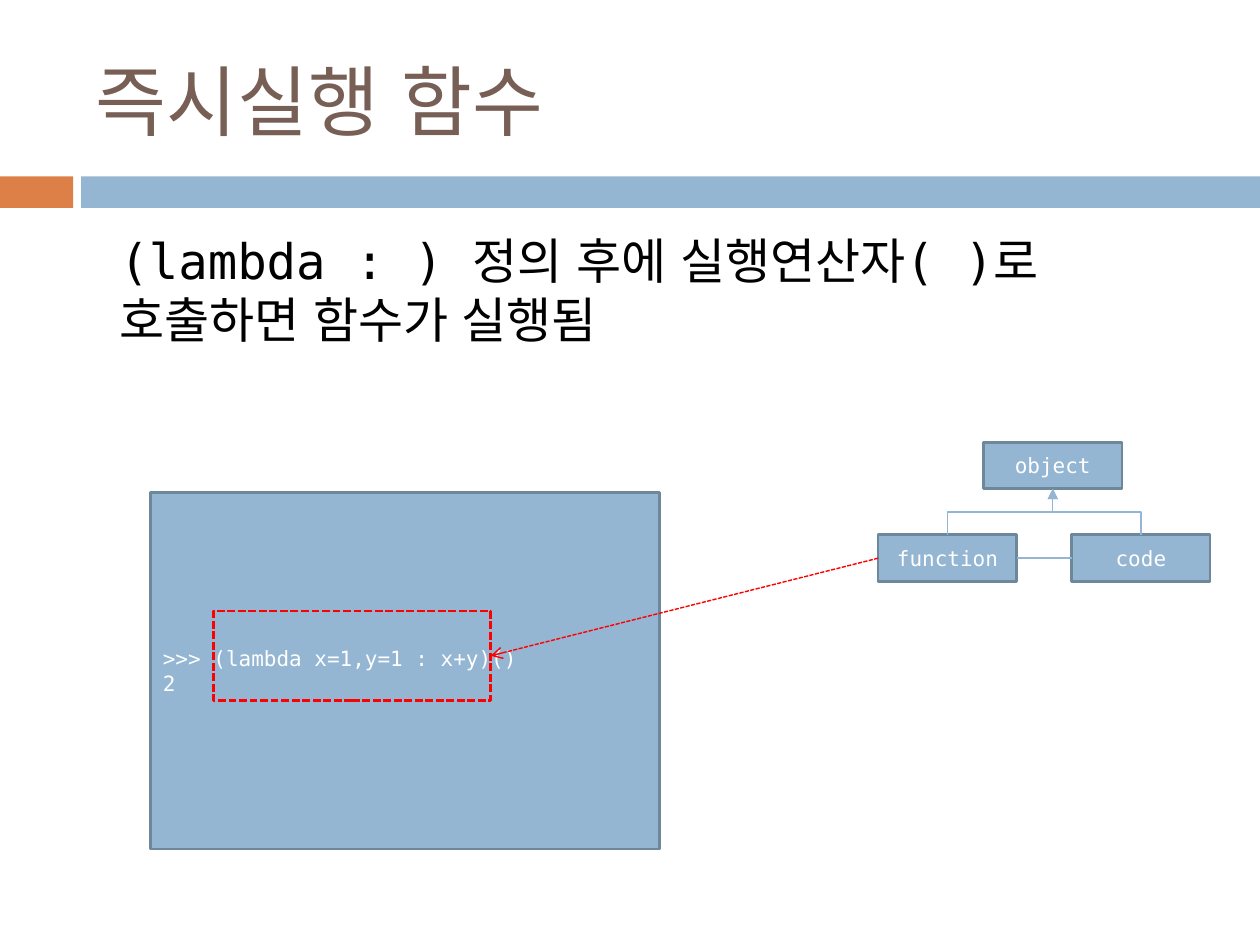
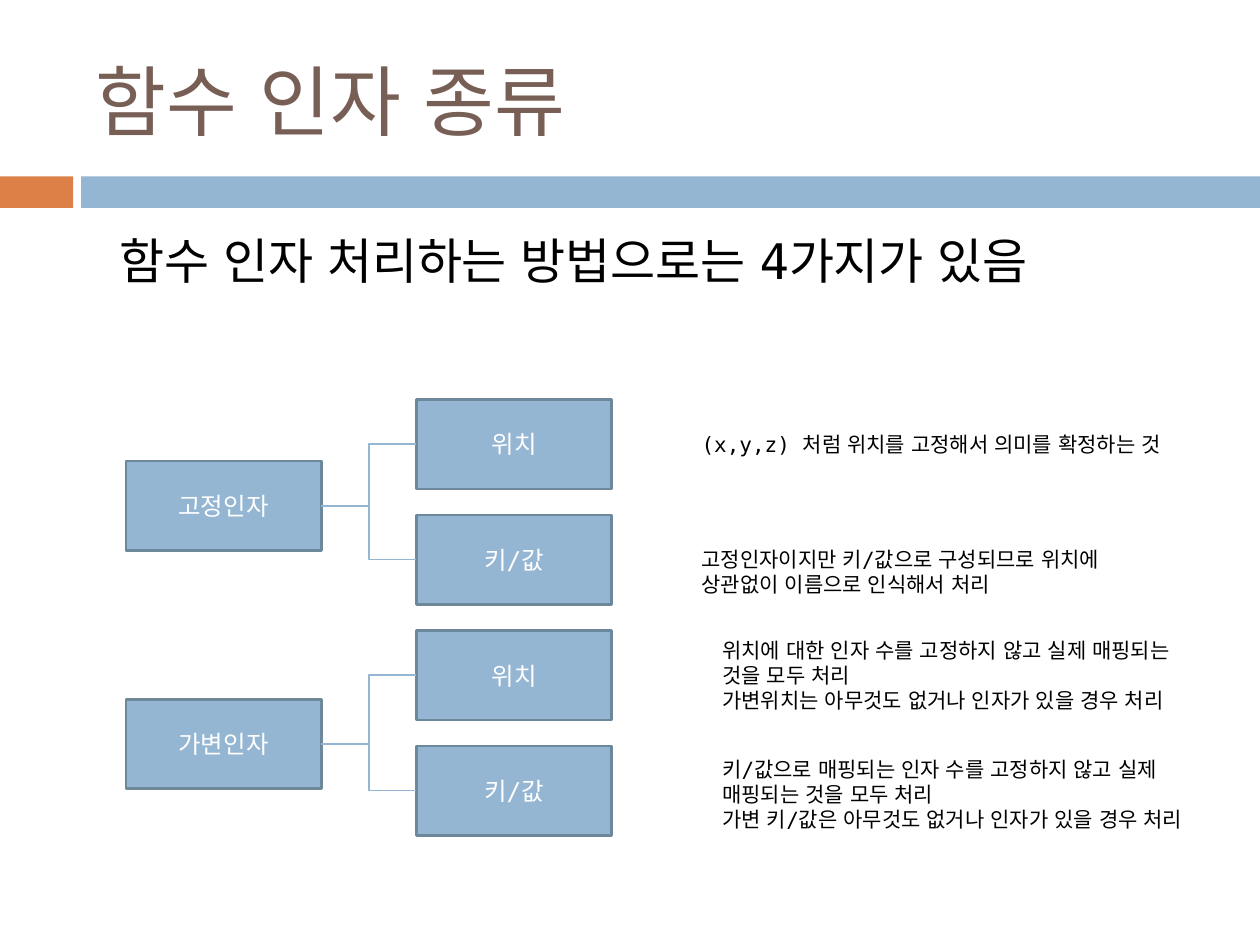
from dataclasses import dataclass

from lxml import etree
from pptx import Presentation
from pptx.dml.color import RGBColor
from pptx.enum.dml import MSO_LINE
from pptx.enum.shapes import MSO_CONNECTOR, MSO_SHAPE
from pptx.enum.text import MSO_ANCHOR, MSO_AUTO_SIZE, PP_ALIGN
from pptx.oxml.ns import qn
from pptx.util import Inches, Pt

RECTANGLE = MSO_SHAPE.RECTANGLE
STRAIGHT, ELBOW = MSO_CONNECTOR.STRAIGHT, MSO_CONNECTOR.ELBOW
DASHED = MSO_LINE.SQUARE_DOT
LEFT, CENTER = PP_ALIGN.LEFT, PP_ALIGN.CENTER
TOP, MIDDLE = MSO_ANCHOR.TOP, MSO_ANCHOR.MIDDLE
NO_AUTOFIT = MSO_AUTO_SIZE.NONE

# Connection sites of a rectangle
TOP_SIDE, LEFT_SIDE, BOTTOM_SIDE, RIGHT_SIDE = range(4)

# Grid laid over the whole slide
COLUMNS, ROWS = 100, 75
TITLE_ONLY = 5


@dataclass(frozen=True)
class Theme:
    font: str = "DejaVu Sans Mono"
    korean_font: str = "DejaVu Sans Condensed"
    heading: str = "775F55"
    ink: str = "000000"
    paper: str = "FFFFFF"
    blue: str = "94B6D2"
    blue_edge: str = "6D879B"
    orange: str = "DD8047"
    red: str = "FF0000"
    title_size: int = 44
    lead_size: int = 28
    label_size: int = 14
    small_size: int = 12
    border: float = 1.5
    thin: float = 0.79


def write(frame, text, *, theme, size, color, align=LEFT, anchor=TOP):
    """Fill a text frame, one paragraph for each line of text."""
    frame.word_wrap = True
    frame.auto_size = NO_AUTOFIT
    frame.vertical_anchor = anchor
    frame.text = text
    for paragraph in frame.paragraphs:
        paragraph.alignment = align
        for run in paragraph.runs:
            run.font.name = theme.font
            run.font.size = Pt(size)
            run.font.color.rgb = RGBColor.from_string(color)
            east_asian = etree.SubElement(run.font._element, qn("a:ea"))
            east_asian.set("typeface", theme.korean_font)


class Deck:
    def __init__(self, theme):
        self.theme = theme
        self.presentation = Presentation()
        self.presentation.slide_width = Inches(10)
        self.presentation.slide_height = Inches(7.5)
        self.slide = None

    def place(self, column, row, columns, rows):
        """Turn a grid area into left, top, width and height."""
        across = self.presentation.slide_width / COLUMNS
        down = self.presentation.slide_height / ROWS
        return (round(column * across), round(row * down),
                round(columns * across), round(rows * down))

    def new_slide(self, title, lead):
        layout = self.presentation.slide_layouts[TITLE_ONLY]
        self.slide = self.presentation.slides.add_slide(layout)
        theme = self.theme
        # Bands under the title
        self.box((0, 14, 5.8, 2.5), fill=theme.orange)
        self.box((6.45, 14, 93.55, 2.5), fill=theme.blue)
        # Title and lead sentence
        heading = self.slide.shapes.title
        (heading.left, heading.top,
         heading.width, heading.height) = self.place(6.6, 2.5, 89.2, 10.8)
        write(heading.text_frame, title, theme=theme,
              size=theme.title_size, color=theme.heading, anchor=MIDDLE)
        self.text((8.5, 17.8, 86.5, 14.2), lead, theme.lead_size)

    def text(self, area, words, size):
        textbox = self.slide.shapes.add_textbox(*self.place(*area))
        write(textbox.text_frame, words, theme=self.theme,
              size=size, color=self.theme.ink)

    def box(self, area, *, fill=None, edge=None, dash=None):
        shape = self.slide.shapes.add_shape(RECTANGLE, *self.place(*area))
        shape.shadow.inherit = False
        if fill:
            shape.fill.solid()
            shape.fill.fore_color.rgb = RGBColor.from_string(fill)
        else:
            shape.fill.background()
        if edge:
            shape.line.color.rgb = RGBColor.from_string(edge)
            shape.line.width = Pt(self.theme.border)
            shape.line.dash_style = dash
        else:
            shape.line.fill.background()
        return shape

    def node(self, area, label, size, align=CENTER):
        theme = self.theme
        shape = self.box(area, fill=theme.blue, edge=theme.blue_edge)
        write(shape.text_frame, label, theme=theme, size=size,
              color=theme.paper, align=align, anchor=MIDDLE)
        return shape

    def link(self, start, start_side, end, end_side, *, kind=STRAIGHT,
             color=None, dash=None, head=None):
        connector = self.slide.shapes.add_connector(kind, 0, 0, 0, 0)
        connector.begin_connect(start, start_side)
        connector.end_connect(end, end_side)
        line = connector.line
        line.color.rgb = RGBColor.from_string(color or self.theme.blue)
        line.width = Pt(self.theme.thin)
        line.dash_style = dash
        properties = connector._element.spPr
        if head:
            etree.SubElement(properties.find(qn("a:ln")),
                             qn("a:tailEnd")).set("type", head)
        etree.SubElement(properties, qn("a:effectLst"))
        return connector

    def rising_link(self, child, parent):
        """Elbow that leaves a child's top and enters its parent's bottom."""
        connector = self.link(child, TOP_SIDE, parent, BOTTOM_SIDE,
                              kind=ELBOW, head="triangle")
        run = connector.end_x - connector.begin_x
        rise = connector.begin_y - connector.end_y
        middle_x = (connector.begin_x + connector.end_x) // 2
        middle_y = (connector.begin_y + connector.end_y) // 2
        connector.width, connector.height = rise, abs(run)
        connector.left = middle_x - rise // 2
        connector.top = middle_y - abs(run) // 2
        # A quarter turn makes the elbow start vertically
        frame = connector._element.spPr.find(qn("a:xfrm"))
        frame.set("rot", "5400000" if run > 0 else "16200000")
        frame.set("flipH", "1" if run > 0 else "0")
        frame.set("flipV", "1")


def immediate_call_slide(deck):
    theme = deck.theme
    deck.new_slide("즉시실행 함수",
                   "(lambda : ) 정의 후에 실행연산자( )로 호출하면 함수가 실행됨")

    # Code with the lambda marked
    deck.node((11.95, 39.1, 40.4, 28.3), ">>> (lambda x=1,y=1 : x+y)()\n2",
              theme.small_size, align=LEFT)
    lambda_mark = deck.box((16.95, 48.5, 22, 7.1), edge=theme.red, dash=DASHED)

    # Class diagram
    base, function, code = [
        deck.node((column, row, 11, 3.7), label, theme.small_size)
        for column, row, label in ((78.05, 35.1, "object"),
                                   (69.7, 42.45, "function"),
                                   (85.05, 42.45, "code"))]
    for child in (function, code):
        deck.rising_link(child, base)
    deck.link(function, RIGHT_SIDE, code, LEFT_SIDE)
    deck.link(function, LEFT_SIDE, lambda_mark, RIGHT_SIDE,
              color=theme.red, dash=DASHED, head="arrow")


def argument_kinds_slide(deck):
    theme = deck.theme
    deck.new_slide("함수 인자 종류", "함수 인자 처리하는 방법으로는 4가지가 있음")

    # Tree of argument kinds
    width, height = 15.5, 7.1
    first_row, step = 31.7, 9.17
    families = (("고정인자", 36.6), ("가변인자", 55.5))
    kinds = ("위치", "키/값")
    for family_index, (family, family_row) in enumerate(families):
        parent = deck.node((10, family_row, width, height), family,
                           theme.label_size)
        for kind_index, kind in enumerate(kinds):
            position = family_index * len(kinds) + kind_index
            child = deck.node((33.05, first_row + position * step,
                               width, height), kind, theme.label_size)
            deck.link(parent, RIGHT_SIDE, child, LEFT_SIDE, kind=ELBOW)

    # Explanation of each kind
    explanations = (
        (54.7, 33.75, 5, "(x,y,z) 처럼 위치를 고정해서 의미를 확정하는 것"),
        (54.7, 42.9, 5, "고정인자이지만 키/값으로 구성되므로 위치에 상관없이 "
                        "이름으로 인식해서 처리"),
        (56.35, 50.1, 9.1, "위치에 대한 인자 수를 고정하지 않고 실제 매핑되는 것을 "
                           "모두 처리\n"
                           "가변위치는 아무것도 없거나 인자가 있을 경우 처리"),
        (56.35, 59.55, 9.1, "키/값으로 매핑되는 인자 수를 고정하지 않고 실제 매핑되는 "
                            "것을 모두 처리\n"
                            "가변 키/값은 아무것도 없거나 인자가 있을 경우 처리"),
    )
    for column, row, rows, explanation in explanations:
        deck.text((column, row, 38.6, rows), explanation, theme.small_size)


def main():
    deck = Deck(Theme())
    immediate_call_slide(deck)
    argument_kinds_slide(deck)
    deck.presentation.save("out.pptx")


if __name__ == "__main__":
    main()
